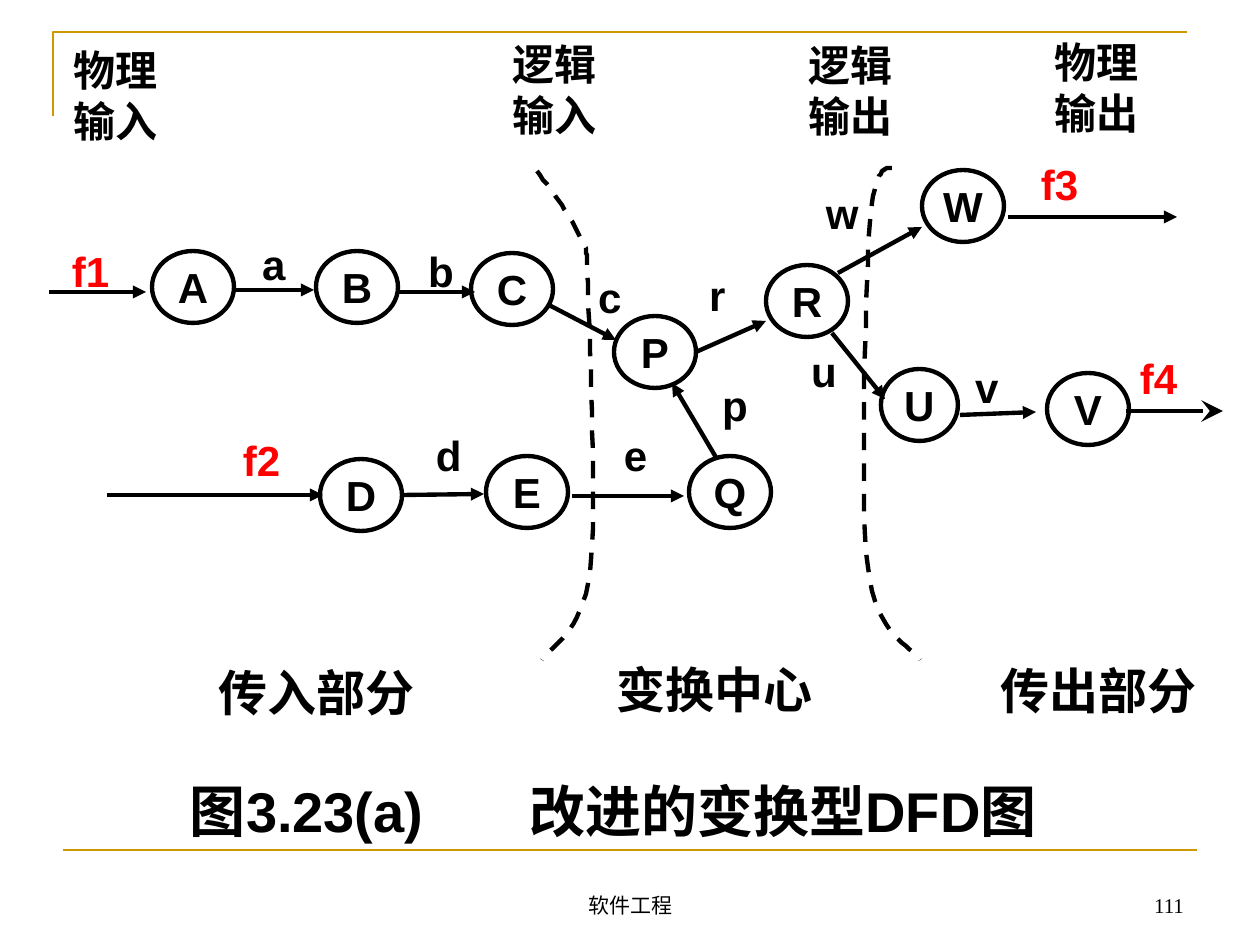
from dataclasses import dataclass

from lxml import etree
from pptx import Presentation, util as u
from pptx.dml.color import RGBColor
from pptx.enum import dml, shapes, text
from pptx.oxml.ns import qn

PX = u.Inches(1) // 126


@dataclass(frozen=True)
class Theme:
    ink: str = "000000"
    flow: str = "FF0000"
    gold: str = "CC9900"
    sans: str = "Arial"
    serif: str = "Times New Roman"
    title: int = 32
    section: int = 28
    body: int = 24
    footer: int = 12
    stroke: float = 2.5
    frame: float = 1.5


T = Theme()

# Content: processes (name, left, top, width)
NODE_W, NODE_H = 82, 72
NODES = [
    ("A", 152, 251, NODE_W), ("B", 316, 251, NODE_W), ("C", 471, 253, NODE_W),
    ("P", 614, 316, NODE_W), ("R", 766, 265, NODE_W), ("W", 922, 170, NODE_W),
    ("Q", 689, 456, NODE_W), ("U", 881, 369, 77), ("V", 1047, 373, NODE_W),
    ("D", 320, 459, NODE_W), ("E", 486, 456, NODE_W),
]

# Data flows (from x, from y, to x, to y)
ARROWS = [
    (49, 292, 146, 292), (232, 290, 314, 290), (398, 292, 475, 292),
    (404, 495, 484, 494), (572, 496, 684, 496), (960, 415, 1036, 412),
    (549, 305, 616, 340), (696, 352, 766, 321), (717, 459, 672, 383),
    (832, 333, 885, 399), (838, 273, 922, 227), (1008, 217, 1177, 217),
    (107, 495, 323, 495),
]
LAST_ARROW = (1126, 411, 1223, 411)

# Flow names (text, left, top)
INNER_FLOWS = [
    ("a", 252, 234), ("b", 418, 241), ("c", 588, 267), ("r", 699, 265),
    ("w", 816, 183), ("d", 426, 425), ("e", 614, 425), ("v", 965, 357),
    ("u", 801, 341), ("p", 712, 375),
]
OUTER_FLOWS = [("f1", 62, 241), ("f2", 233, 430), ("f3", 1031, 154), ("f4", 1130, 348)]

HEADINGS = [("物理输入", 45, 40), ("物理输出", 1026, 32),
            ("逻辑输入", 484, 34), ("逻辑输出", 780, 35)]
SECTIONS = [("传入部分", 188, 658), ("变换中心", 586, 654), ("传出部分", 970, 655)]
TITLE = "图3.23(a)\t改进的变换型DFD图"
TITLE_TAB = 339

# Boundaries: start point, then cubic segments (control, control, end)
BOUNDARIES = [
    ((537, 171), [((554, 194), (571, 217), (580, 237)),
                  ((588, 256), (586, 236), (588, 292)),
                  ((590, 348), (597, 512), (590, 573)),
                  ((582, 634), (551, 645), (542, 660))]),
    ((892, 168), [((883, 168), (874, 168), (869, 234)),
                  ((866, 301), (859, 496), (868, 567)),
                  ((876, 639), (911, 645), (920, 660))]),
]
FRAME = [(53, 116), (53, 32), (1187, 32)]
BASE_RULE = (63, 850, 1197, 850)


def style_line(line, color=T.ink, width=T.stroke):
    line.color.rgb = RGBColor.from_string(color)
    line.width = u.Pt(width)


def fill_text(s, words, size=T.body, color=T.ink, align="LEFT", anchor="TOP",
              font=T.sans, bold=True, inset=(10, 5), wrap=True, tab=None):
    tf = s.text_frame
    tf.word_wrap = wrap
    tf.vertical_anchor = text.MSO_ANCHOR[anchor]
    tf.margin_left = tf.margin_right = inset[0] * PX
    tf.margin_top = tf.margin_bottom = inset[1] * PX
    p = tf.paragraphs[0]
    p.add_run().text = words
    p.alignment = text.PP_ALIGN[align]
    if tab:
        tabs = etree.SubElement(p._p.get_or_add_pPr(), qn("a:tabLst"))
        etree.SubElement(tabs, qn("a:tab"), pos=str(tab * PX), algn="l")
    p.font.name, p.font.size, p.font.bold = font, u.Pt(size), bold
    p.font.color.rgb = RGBColor.from_string(color)


def add_label(sp, words, x, y, w, h, **style):
    fill_text(sp.add_textbox(x * PX, y * PX, w * PX, h * PX), words, **style)


def add_line(sp, ends, color=T.ink, width=T.stroke, head=None, head_size="med"):
    s = sp.add_connector(shapes.MSO_CONNECTOR.STRAIGHT, *(v * PX for v in ends))
    style_line(s.line, color, width)
    if head:
        etree.SubElement(s.line._get_or_add_ln(), qn("a:tailEnd"),
                         type=head, w=head_size, len=head_size)
    etree.SubElement(s._element.spPr, qn("a:effectLst"))


def add_outline(sp, points, color=T.ink, width=T.stroke):
    pen = sp.build_freeform(*points[0], scale=PX)
    pen.add_line_segments(points[1:], close=False)
    s = pen.convert_to_shape()
    s.shadow.inherit = False
    s.fill.background()
    style_line(s.line, color, width)
    return s


def trace(start, segments, steps=16):
    """Points along a chain of cubic curves."""
    points = [start]
    for c1, c2, end in segments:
        a = points[-1]
        for i in range(1, steps + 1):
            t = i / steps
            weights = ((1 - t) ** 3, 3 * t * (1 - t) ** 2, 3 * t * t * (1 - t), t ** 3)
            points.append(tuple(sum(k * q[axis] for k, q in zip(weights, (a, c1, c2, end)))
                                for axis in (0, 1)))
    return points


def main():
    prs = Presentation()
    prs.slide_width, prs.slide_height = u.Inches(10), u.Inches(7.5)
    sp = prs.slides.add_slide(prs.slide_layouts[6]).shapes

    # Slide frame
    add_outline(sp, FRAME, T.gold, T.frame)
    add_line(sp, BASE_RULE, T.gold, T.frame)

    # Processes
    for name, x, y, w in NODES:
        s = sp.add_shape(shapes.MSO_SHAPE.OVAL, x * PX, y * PX, w * PX, NODE_H * PX)
        s.shadow.inherit = False
        s.fill.background()
        style_line(s.line)
        fill_text(s, name, align="CENTER", anchor="MIDDLE", wrap=False)

    # Data flows and boundaries
    for ends in ARROWS:
        add_line(sp, ends, head="triangle")
    add_line(sp, LAST_ARROW, head="stealth", head_size="lg")
    for start, segments in BOUNDARIES:
        add_outline(sp, trace(start, segments)).line.dash_style = dml.MSO_LINE.DASH

    # Labels
    for name, x, y in INNER_FLOWS:
        add_label(sp, name, x, y, 58, 60)
    for name, x, y in OUTER_FLOWS:
        add_label(sp, name, x, y, 77, 60, color=T.flow)
    for words, x, y in HEADINGS:
        add_label(sp, words, x, y, 142, 111, align="CENTER")
    for words, x, y in SECTIONS:
        add_label(sp, words, x, y, 257, 69, size=T.section, align="CENTER")
    add_label(sp, TITLE, 180, 772, 907, 78, size=T.title, tab=TITLE_TAB)

    # Footer
    footer = dict(size=T.footer, font=T.serif, bold=False, anchor="BOTTOM", inset=(13, 6))
    add_label(sp, "软件工程", 431, 861, 399, 63, align="CENTER", **footer)
    add_label(sp, "111", 903, 861, 294, 63, align="RIGHT", **footer)

    prs.save("out.pptx")


if __name__ == "__main__":
    main()
